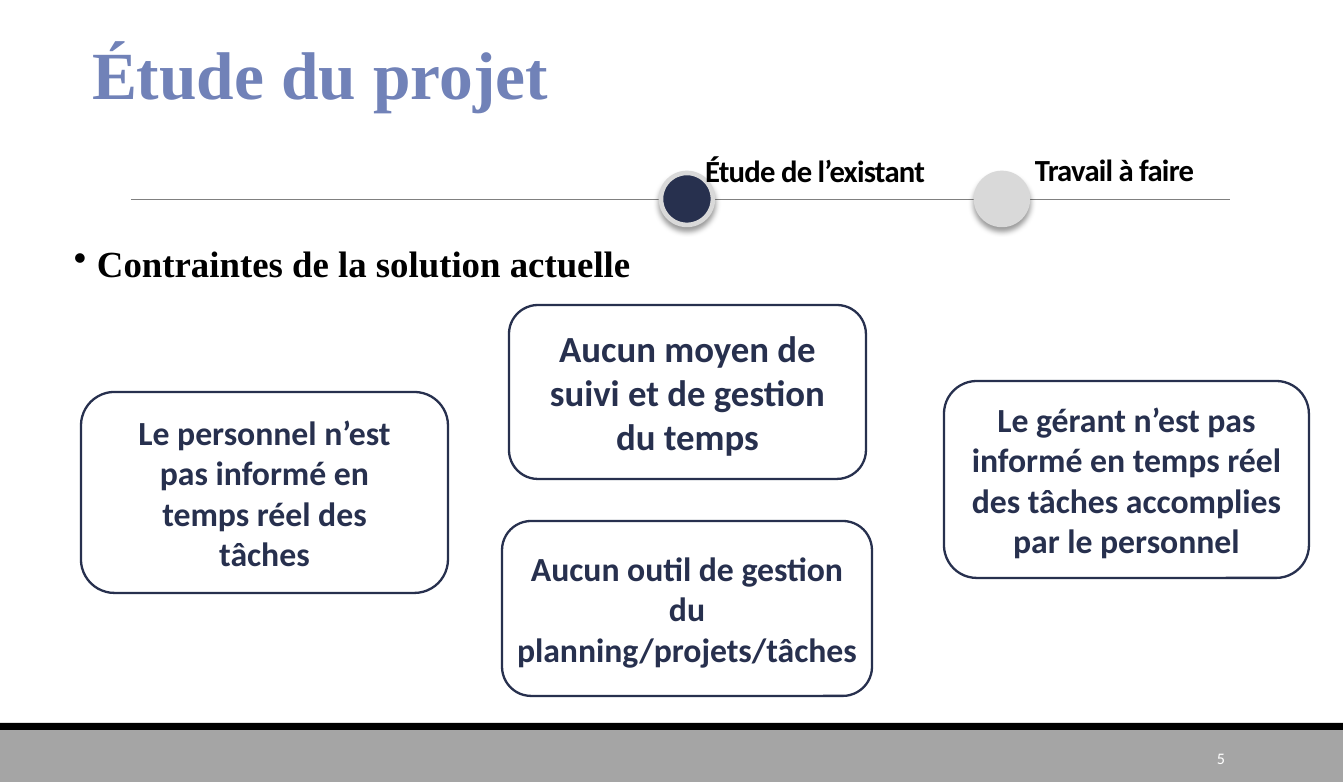
import lxml.etree
import pptx
import pptx.dml.color
import pptx.enum.shapes
import pptx.enum.text
import pptx.oxml
import pptx.oxml.ns
import pptx.util

EMU_PER_PX = 914400 / 110.4
NAVY, GREY, BLACK, WHITE = "27304E", "D9D9D9", "000000", "FFFFFF"
SHAPES = pptx.enum.shapes.MSO_SHAPE
ALIGN = pptx.enum.text.PP_ALIGN
ANCHOR = pptx.enum.text.MSO_ANCHOR


def px(length):
    return pptx.util.Emu(round(length * EMU_PER_PX))


def color(value):
    return pptx.dml.color.RGBColor.from_string(value)


class SlideBuilder:
    """Draws styled elements, measured in px, on one slide."""

    def __init__(self, presentation):
        self.slide = presentation.slides.add_slide(presentation.slide_layouts[6])
        self.shapes = self.slide.shapes

    def fill_text(self, shape, text, size, ink, bold=True, font="Calibri", align=ALIGN.CENTER,
                  anchor=ANCHOR.MIDDLE, line_spacing=1.0, tracking=0, side=11, edge=6):
        frame = shape.text_frame
        frame.word_wrap = True
        frame.vertical_anchor = anchor
        frame.margin_left = frame.margin_right = px(side)
        frame.margin_top = frame.margin_bottom = px(edge)
        frame.text = text
        paragraph = frame.paragraphs[0]
        paragraph.alignment = align
        paragraph.line_spacing = line_spacing
        for run in paragraph.runs:
            run.font.name = font
            run.font.size = pptx.util.Pt(size)
            run.font.bold = bold
            run.font.color.rgb = color(ink)
            if tracking:
                run.font._element.set("spc", str(tracking))
        return paragraph

    def text(self, box, text, size, ink, **style):
        shape = self.shapes.add_textbox(*map(px, box))
        return self.fill_text(shape, text, size, ink, **style)

    def bullet(self, box, text, size, ink, hanging, **style):
        paragraph = self.text(box, text, size, ink, align=ALIGN.LEFT, **style)
        properties = paragraph._p.get_or_add_pPr()
        properties.set("marL", str(px(hanging)))
        properties.set("indent", str(-px(hanging)))
        lxml.etree.SubElement(properties, pptx.oxml.ns.qn("a:buChar"), char="•")

    def shape(self, kind, box, fill, outline=None, width=1.0):
        shape = self.shapes.add_shape(kind, *map(px, box))
        shape.shadow.inherit = False
        shape.fill.solid()
        shape.fill.fore_color.rgb = color(fill)
        if outline:
            shape.line.color.rgb = color(outline)
            shape.line.width = pptx.util.Pt(width)
        else:
            shape.line.fill.background()
        return shape

    def card(self, box, text, size, side):
        shape = self.shape(SHAPES.ROUNDED_RECTANGLE, box, WHITE, NAVY, 1.5)
        self.fill_text(shape, text, size, NAVY, side=side, edge=0)

    def step(self, left, fill, label_box, label):
        dot = self.shape(SHAPES.OVAL, (left, 173, 52, 52), fill, GREY, 3)
        effects = dot._element.spPr.find(pptx.oxml.ns.qn("a:effectLst"))
        effects.append(pptx.oxml.parse_xml(
            f'<a:outerShdw {pptx.oxml.ns.nsdecls("a")} blurRad="50800" dist="38100" '
            'dir="5400000" algn="t" rotWithShape="0"><a:srgbClr val="000000">'
            '<a:alpha val="40000"/></a:srgbClr></a:outerShdw>'))
        self.text(label_box, label, 20, BLACK, anchor=ANCHOR.BOTTOM,
                  line_spacing=0.85, tracking=-50)

    def line(self, start, end, ink, width):
        connector = self.shapes.add_connector(
            pptx.enum.shapes.MSO_CONNECTOR.STRAIGHT, *map(px, start + end))
        connector.line.color.rgb = color(ink)
        connector.line.width = pptx.util.Pt(width)
        lxml.etree.SubElement(connector._element.spPr, pptx.oxml.ns.qn("a:effectLst"))


def main():
    presentation = pptx.Presentation()
    presentation.slide_width, presentation.slide_height = px(1344), px(783)
    builder = SlideBuilder(presentation)

    builder.shape(SHAPES.RECTANGLE, (0, 730, 1343, 52), "A5A5A5")
    builder.shape(SHAPES.RECTANGLE, (0, 723, 1343, 7), BLACK)
    builder.text((1091, 737, 145, 42), "5", 10.5, WHITE, bold=False, align=ALIGN.RIGHT)

    builder.text((81, 26, 505, 93), "Étude du projet", 44, "7182B8",
                 font="Times New Roman", align=ALIGN.LEFT, anchor=ANCHOR.TOP)
    builder.line((131, 199), (1230, 199), "808080", 0.5)
    builder.step(976, GREY, (906, 151, 417, 43), "Travail à faire")
    builder.step(661, NAVY, (634, 151, 362, 44), "Étude de l’existant")
    builder.bullet((63, 243, 590, 48), "Contraintes de la solution actuelle", 24, BLACK, 23,
                   font="Times New Roman", anchor=ANCHOR.BOTTOM, line_spacing=0.85)

    cards = [
        ((81, 392, 367, 201), "Le personnel n’est pas informé en temps réel des tâches", 22, 28),
        ((509, 305, 357, 174), "Aucun moyen de suivi et de gestion du temps", 24, 19),
        ((502, 521, 370, 175), "Aucun outil de gestion du planning/projets/tâches", 22, 2),
        ((944, 381, 365, 197),
         "Le gérant n’est pas informé en temps réel des tâches accomplies par le personnel",
         22, 13),
    ]
    for box, text, size, side in cards:
        builder.card(box, text, size, side)

    presentation.save("out.pptx")


if __name__ == "__main__":
    main()
